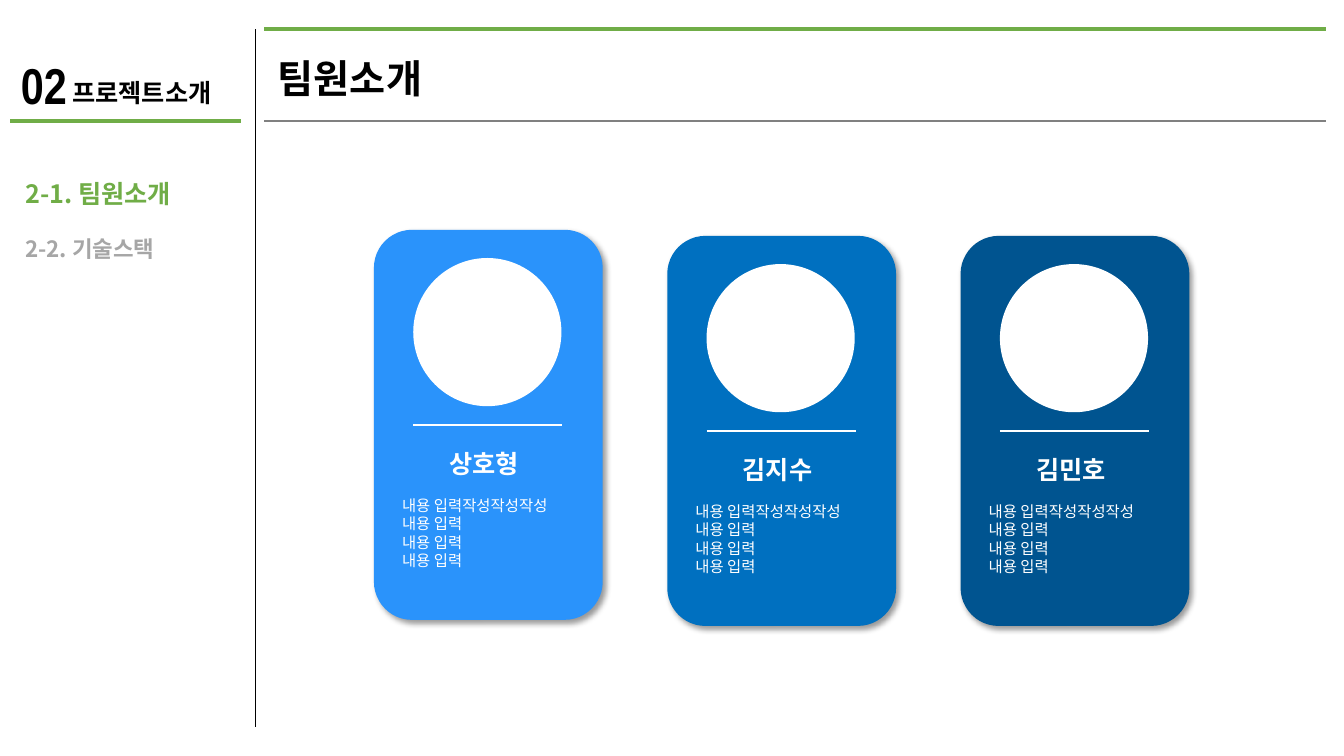
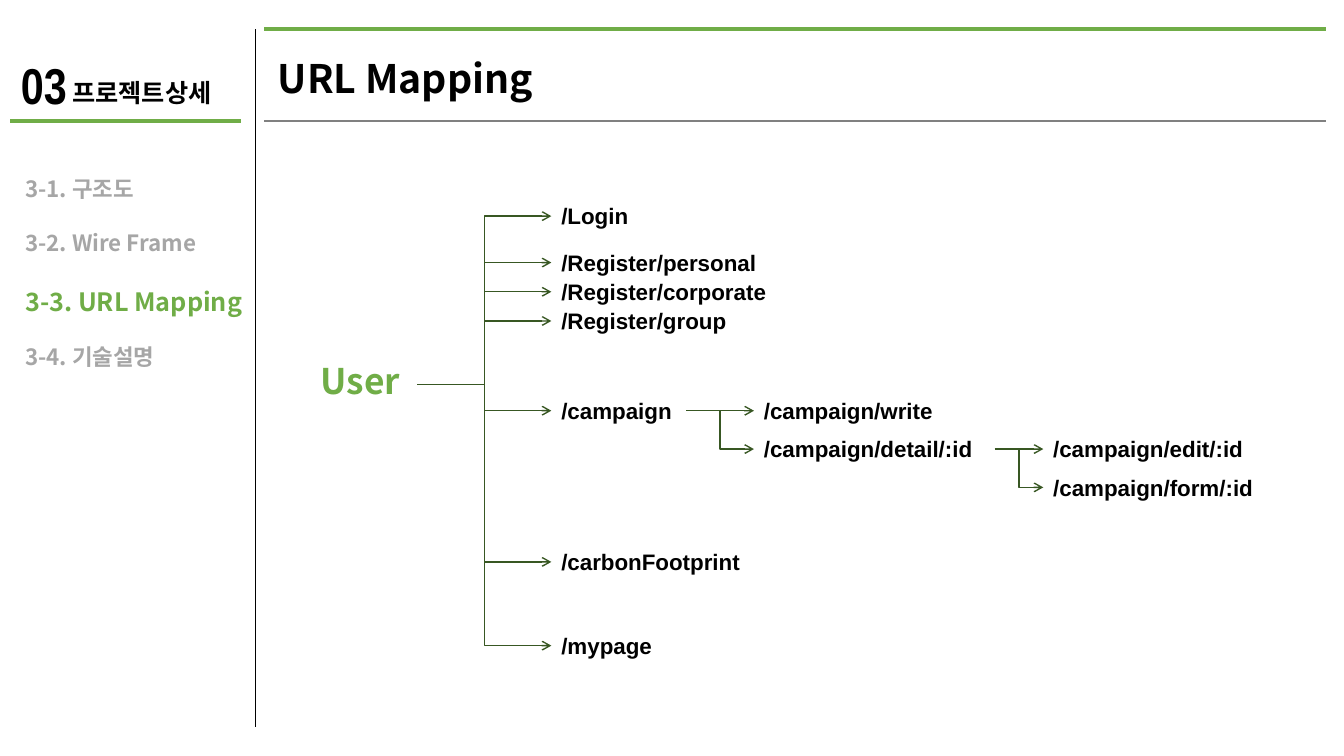
from dataclasses import dataclass

from lxml import etree
from pptx import Presentation
from pptx.dml.color import RGBColor
from pptx.enum.shapes import MSO_CONNECTOR, MSO_SHAPE
from pptx.enum.text import MSO_ANCHOR, PP_ALIGN
from pptx.oxml.ns import qn
from pptx.shapes.autoshape import Shape
from pptx.shapes.connector import Connector
from pptx.slide import Slide
from pptx.util import Emu, Pt

STRAIGHT, ELBOW = MSO_CONNECTOR.STRAIGHT, MSO_CONNECTOR.ELBOW
ROUNDED, OVAL = MSO_SHAPE.ROUNDED_RECTANGLE, MSO_SHAPE.OVAL
LEFT, CENTER = PP_ALIGN.LEFT, PP_ALIGN.CENTER
TOP, MIDDLE = MSO_ANCHOR.TOP, MSO_ANCHOR.MIDDLE
LEFT_SIDE, RIGHT_SIDE = 1, 3

EMU_PER_PX = 9144
SLIDE_WIDTH, SLIDE_HEIGHT = Emu(12192000), Emu(6858000)
KOREAN, NARROW, LATIN = "Noto Sans CJK KR", "Arial Narrow", "Arial"
COLORS = {
    "black": "000000",
    "white": "FFFFFF",
    "accent": "70AD47",
    "muted": "A6A6A6",
    "rule": "808080",
    "branch": "385723",
    "light_blue": "2A93FB",
    "blue": "0070C0",
    "dark_blue": "005490",
}


@dataclass(frozen=True)
class Section:
    number: str
    name: str
    title: str
    title_width: int
    menu: tuple[str, ...]
    menu_width: int
    menu_height: int
    active: int


@dataclass(frozen=True)
class Member:
    name: str
    color: str
    top: int


@dataclass(frozen=True)
class Route:
    label: str
    left: int
    top: int
    width: int
    parent: str


@dataclass(frozen=True)
class Rule:
    start: tuple[int, int]
    end: tuple[int, int]
    color: str
    width: float


TEAM = Section("02", "프로젝트소개", "팀원소개", 177,
               ("2-1. 팀원소개", "2-2. 기술스택"), 185, 125, 0)
MAPPING = Section("03", "프로젝트상세", "URL Mapping", 276,
                  ("3-1. 구조도", "3-2. Wire Frame", "3-3. URL Mapping", "3-4. 기술설명"),
                  249, 232, 2)

FRAME_RULES = (
    Rule((10, 120), (239, 120), "accent", 3),
    Rule((253, 29), (253, 721), "black", 0.5),
    Rule((262, 120), (1315, 120), "rule", 1.5),
    Rule((262, 29), (1315, 29), "accent", 3),
)

MEMBERS = (
    Member("상호형", "light_blue", 228),
    Member("김지수", "blue", 234),
    Member("김민호", "dark_blue", 234),
)
CARD_LEFT, CARD_PITCH, CARD_WIDTH, CARD_HEIGHT = 371, 291, 227, 387
CARD_LINES = ("내용 입력작성작성작성",) + ("내용 입력",) * 3

ROOT = "User"
COLUMNS = (547, 748, 1035)
ROUTE_HEIGHT = 37
ROUTES = (
    Route("/Login", COLUMNS[0], 196, 89, ROOT),
    Route("/Register/personal", COLUMNS[0], 242, 218, ROOT),
    Route("/Register/corporate", COLUMNS[0], 271, 229, ROOT),
    Route("/Register/group", COLUMNS[0], 300, 190, ROOT),
    Route("/campaign", COLUMNS[0], 389, 134, ROOT),
    Route("/carbonFootprint", COLUMNS[0], 539, 203, ROOT),
    Route("/mypage", COLUMNS[0], 622, 115, ROOT),
    Route("/campaign/write", COLUMNS[1], 389, 197, "/campaign"),
    Route("/campaign/detail/:id", COLUMNS[1], 427, 239, "/campaign"),
    Route("/campaign/edit/:id", COLUMNS[2], 427, 220, "/campaign/detail/:id"),
    Route("/campaign/form/:id", COLUMNS[2], 465, 231, "/campaign/detail/:id"),
)


def px(length: int) -> Emu:
    return Emu(length * EMU_PER_PX)


def rgb(color: str) -> RGBColor:
    return RGBColor.from_string(COLORS[color])


def add_text(slide: Slide, lines: tuple[str, ...], left: int, top: int, width: int,
             height: int, *, size: float, font: str = KOREAN, color: str = "black",
             bold: bool = True, align: PP_ALIGN = LEFT, anchor: MSO_ANCHOR = TOP,
             spacing: float = 1.0, inset: int = 10) -> Shape:
    """Add a text box with one paragraph per line."""
    box = slide.shapes.add_textbox(px(left), px(top), px(width), px(height))
    frame = box.text_frame
    frame.word_wrap = True
    frame.vertical_anchor = anchor
    frame.margin_left = px(inset)
    frame.margin_right = px(inset if align == CENTER else 0)
    frame.margin_top = frame.margin_bottom = px(5)
    for index, line in enumerate(lines):
        paragraph = frame.paragraphs[0] if index == 0 else frame.add_paragraph()
        paragraph.alignment = align
        paragraph.line_spacing = spacing
        run = paragraph.add_run()
        run.text = line
        run.font.size = Pt(size)
        run.font.bold = bold
        run.font.color.rgb = rgb(color)
        run.font.name = font
        east_asian = etree.SubElement(run.font._element, qn("a:ea"))
        east_asian.set("typeface", font)
    return box


def add_line(slide: Slide, start: tuple[int, int], end: tuple[int, int], color: str,
             width: float, kind: MSO_CONNECTOR = STRAIGHT) -> Connector:
    line = slide.shapes.add_connector(kind, *map(px, start + end))
    line.line.color.rgb = rgb(color)
    line.line.width = Pt(width)
    etree.SubElement(line._element.spPr, qn("a:effectLst"))
    return line


def add_filled(slide: Slide, kind: MSO_SHAPE, left: int, top: int, width: int,
               height: int, color: str) -> Shape:
    shape = slide.shapes.add_shape(kind, px(left), px(top), px(width), px(height))
    shape.shadow.inherit = False
    shape.fill.solid()
    shape.fill.fore_color.rgb = rgb(color)
    shape.line.fill.background()
    return shape


def add_drop_shadow(shape: Shape) -> None:
    effects = shape._element.spPr.find(qn("a:effectLst"))
    shadow = etree.SubElement(effects, qn("a:outerShdw"), blurRad=str(Pt(4)),
                              dist=str(Pt(3)), dir="2700000", algn="tl", rotWithShape="0")
    color = etree.SubElement(shadow, qn("a:srgbClr"), val=COLORS["black"])
    etree.SubElement(color, qn("a:alpha"), val="40000")


def add_frame(presentation: Presentation, section: Section) -> Slide:
    """Add a slide with the sidebar, its menu, the title and the rules."""
    slide = presentation.slides.add_slide(presentation.slide_layouts[6])
    add_text(slide, (section.number,), 10, 49, 67, 71, size=36, font=NARROW, align=CENTER)
    add_text(slide, (section.name,), 62, 72, 172, 40, size=18)
    menu = add_text(slide, section.menu, 10, 142, section.menu_width, section.menu_height,
                    size=16, color="muted", spacing=2.0, inset=15)
    active_font = menu.text_frame.paragraphs[section.active].runs[0].font
    active_font.size = Pt(18)
    active_font.color.rgb = rgb("accent")
    add_text(slide, (section.title,), 266, 49, section.title_width, 57, size=28)
    for rule in FRAME_RULES:
        add_line(slide, rule.start, rule.end, rule.color, rule.width)
    return slide


def add_member_card(slide: Slide, member: Member, left: int) -> None:
    top = member.top
    card = add_filled(slide, ROUNDED, left, top, CARD_WIDTH, CARD_HEIGHT, member.color)
    add_drop_shadow(card)
    add_line(slide, (left + 39, top + 194), (left + 187, top + 194), "white", 1.5)
    for inset, diameter in ((0, 147), (6, 136)):
        add_filled(slide, OVAL, left + 39 + inset, top + 28 + inset,
                   diameter, diameter, "white")
    add_text(slide, (member.name,), left + 65, top + 212, 96, 40, size=18, color="white")
    add_text(slide, CARD_LINES, left + 18, top + 259, 190, 84,
             size=11, color="white", bold=False)


def add_branch(slide: Slide, parent: Shape, child: Shape) -> None:
    """Join two boxes with an arrow, bent unless they stand on one row."""
    kind = STRAIGHT if parent.top == child.top else ELBOW
    branch = add_line(slide, (0, 0), (0, 0), "branch", 1, kind)
    branch.begin_connect(parent, RIGHT_SIDE)
    branch.end_connect(child, LEFT_SIDE)
    etree.SubElement(branch.line._get_or_add_ln(), qn("a:tailEnd"), type="arrow")


def build_team_slide(presentation: Presentation) -> None:
    slide = add_frame(presentation, TEAM)
    for index, member in enumerate(MEMBERS):
        add_member_card(slide, member, CARD_LEFT + index * CARD_PITCH)


def build_mapping_slide(presentation: Presentation) -> None:
    slide = add_frame(presentation, MAPPING)
    boxes = {ROOT: add_text(slide, (ROOT,), 301, 358, 113, 47, size=25.2, color="accent",
                            align=CENTER, anchor=MIDDLE, spacing=0.8)}
    for route in ROUTES:
        boxes[route.label] = add_text(slide, (route.label,), route.left, route.top,
                                      route.width, ROUTE_HEIGHT, size=16, font=LATIN)
    for route in ROUTES:
        add_branch(slide, boxes[route.parent], boxes[route.label])


def main() -> None:
    presentation = Presentation()
    presentation.slide_width = SLIDE_WIDTH
    presentation.slide_height = SLIDE_HEIGHT
    build_team_slide(presentation)
    build_mapping_slide(presentation)
    presentation.save("out.pptx")


if __name__ == "__main__":
    main()
